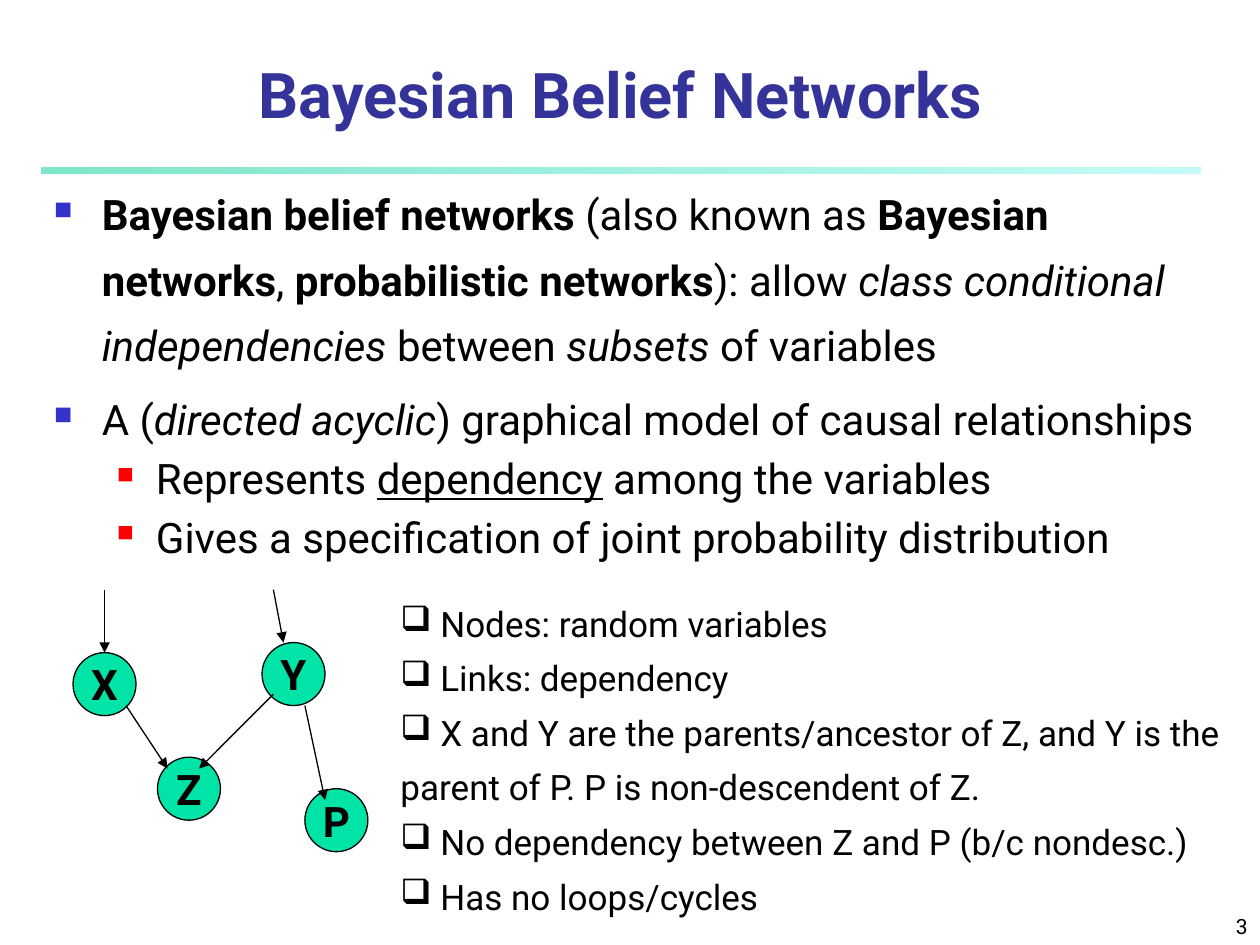
"""Build the Bayesian Belief Networks slide."""
from lxml import etree
from pptx import Presentation
from pptx import util as u
from pptx.dml.color import RGBColor
from pptx.enum import shapes, text
from pptx.oxml.ns import qn

THEME = {
    "font": "Roboto",
    "title": "333399", "text": "000000", "node": "00E4A8",
    "rule": (("00CE98", 50), ("8FF9EF", 52)),
    "title_pt": 36, "body_pt": 24, "notes_pt": 20, "number_pt": 12, "line_pt": 0.75,
}
LEVELS = (
    {"margin": 0.38, "hang": 0.38, "spacing": 1.3, "color": "3333CC", "size": 60},
    {"margin": 0.81, "hang": 0.31, "spacing": 1.0, "color": "FF0000", "size": 55},
)

TITLE = "Bayesian Belief Networks"
BODY = [
    (0, [("Bayesian belief networks", "b"), (" (also known as ", ""),
         ("Bayesian networks", "b"), (", ", ""), ("probabilistic networks", "b"),
         ("): allow ", ""), ("class conditional independencies", "i"),
         (" between ", ""), ("subsets", "i"), (" of variables", "")]),
    (0, [("A (", ""), ("directed acyclic", "i"),
         (") graphical model of causal relationships", "")]),
    (1, [("Represents ", ""), ("dependency", "u"), (" among the variables", "")]),
    (1, [("Gives a specification of joint probability distribution", "")]),
]
NOTES = [
    "Nodes: random variables",
    "Links: dependency",
    "X and Y are the parents/ancestor of Z, and Y is the parent of P. P is non-descendent of Z.",
    "No dependency between Z and P (b/c nondesc.)",
    "Has no loops/cycles",
]
NODE_SIZE = 0.5
NODES = {"X": (0.58, 5.18), "Y": (2.08, 5.1), "Z": (1.25, 6.01), "P": (2.42, 6.26)}
LINKS = [
    ((1, 5.6), (1.33, 6.1)),
    ((2.17, 5.51), (1.58, 6.1)),
    ((2.42, 5.6), (2.58, 6.35)),
    ((0.83, 4.68), (0.83, 5.18)),
    ((2.17, 4.68), (2.25, 5.1)),
]


def rgb(name):
    return RGBColor.from_string(THEME.get(name, name))


def inches(*values):
    return [u.Inches(v) for v in values]


def add_run(p, words, size, color="text", style=""):
    r = p.add_run()
    r.text = words
    f = r.font
    f.name, f.size = THEME["font"], u.Pt(THEME[size])
    f.color.rgb = rgb(color)
    f.bold, f.italic, f.underline = "b" in style, "i" in style, "u" in style


def paragraphs(tf, items):
    for i, item in enumerate(items):
        yield (tf.add_paragraph() if i else tf.paragraphs[0]), item


def add_bullet(p, char, level=None):
    pPr = p._p.get_or_add_pPr()
    if level:
        pPr.set("marL", str(u.Inches(level["margin"])))
        pPr.set("indent", str(-u.Inches(level["hang"])))
        color = etree.SubElement(pPr, qn("a:buClr"))
        etree.SubElement(color, qn("a:srgbClr"), val=level["color"])
        etree.SubElement(pPr, qn("a:buSzPct"), val=str(level["size"] * 1000))
    etree.SubElement(pPr, qn("a:buChar"), char=char)


def add_text_box(s, *box):
    tf = s.shapes.add_textbox(*inches(*box)).text_frame
    tf.word_wrap = True
    return tf


def add_rule(s):
    sp = s.shapes.add_shape(shapes.MSO_SHAPE.RECTANGLE, *inches(0.33, 1.33, 9.2, 0.05))
    sp.shadow.inherit = False
    sp.line.fill.background()
    sp.fill.gradient()
    sp.fill.gradient_angle = 0
    for stop, (color, _) in zip(sp.fill.gradient_stops, THEME["rule"]):
        stop.color.rgb = rgb(color)
    for clr, (_, alpha) in zip(sp._element.spPr.iter(qn("a:srgbClr")), THEME["rule"]):
        etree.SubElement(clr, qn("a:alpha"), val=str(alpha * 1000))


def add_title(s):
    sp = s.shapes.title
    sp.left, sp.top, sp.width, sp.height = inches(0.33, 0.42, 9.19, 0.67)
    tf = sp.text_frame
    tf.auto_size = text.MSO_AUTO_SIZE.NONE
    tf.vertical_anchor = text.MSO_ANCHOR.BOTTOM
    p = tf.paragraphs[0]
    p.alignment = text.PP_ALIGN.CENTER
    add_run(p, TITLE, "title_pt", "title", "b")


def add_body(s):
    tf = add_text_box(s, 0.33, 1.33, 9.33, 3.3)
    for p, (depth, runs) in paragraphs(tf, BODY):
        level = LEVELS[depth]
        p.level = depth
        p.line_spacing = level["spacing"]
        p.space_before = u.Pt(0.2 * THEME["body_pt"])
        add_bullet(p, "■", level)
        for words, style in runs:
            add_run(p, words, "body_pt", style=style)


def add_notes(s):
    tf = add_text_box(s, 3.08, 4.63, 6.73, 2.7)
    tf.auto_size = text.MSO_AUTO_SIZE.SHAPE_TO_FIT_TEXT
    for p, words in paragraphs(tf, NOTES):
        p.line_spacing = 1.3
        add_bullet(p, "❑")
        add_run(p, " " + words, "notes_pt")


def add_node(group, name, left, top):
    sp = group.shapes.add_shape(shapes.MSO_SHAPE.FLOWCHART_CONNECTOR,
                                *inches(left, top, NODE_SIZE, NODE_SIZE))
    sp.shadow.inherit = False
    sp.fill.solid()
    sp.fill.fore_color.rgb = rgb("node")
    sp.line.color.rgb = rgb("text")
    sp.line.width = u.Pt(THEME["line_pt"])
    tf = sp.text_frame
    tf.word_wrap = False
    tf.vertical_anchor = text.MSO_ANCHOR.MIDDLE
    p = tf.paragraphs[0]
    p.alignment = text.PP_ALIGN.CENTER
    add_run(p, name, "body_pt", style="b")


def add_link(group, start, end):
    link = group.shapes.add_connector(shapes.MSO_CONNECTOR.STRAIGHT, *inches(*start, *end))
    link.line.color.rgb = rgb("text")
    link.line.width = u.Pt(THEME["line_pt"])
    etree.SubElement(link.line._get_or_add_ln(), qn("a:tailEnd"), type="triangle")
    etree.SubElement(link._element.spPr, qn("a:effectLst"))


def add_network(s):
    group = s.shapes.add_group_shape()
    for name, corner in NODES.items():
        add_node(group, name, *corner)
    for start, end in LINKS:
        add_link(group, start, end)


def add_number(s):
    tf = add_text_box(s, 7.92, 7.08, 2.08, 0.42)
    tf.vertical_anchor = text.MSO_ANCHOR.BOTTOM
    p = tf.paragraphs[0]
    p.alignment = text.PP_ALIGN.RIGHT
    add_run(p, "3", "number_pt")


def main():
    prs = Presentation()
    prs.slide_width, prs.slide_height = inches(10, 7.5)
    s = prs.slides.add_slide(prs.slide_layouts.get_by_name("Title Only"))
    for add_part in (add_rule, add_number, add_title, add_body, add_network, add_notes):
        add_part(s)
    prs.save("out.pptx")


if __name__ == "__main__":
    main()
